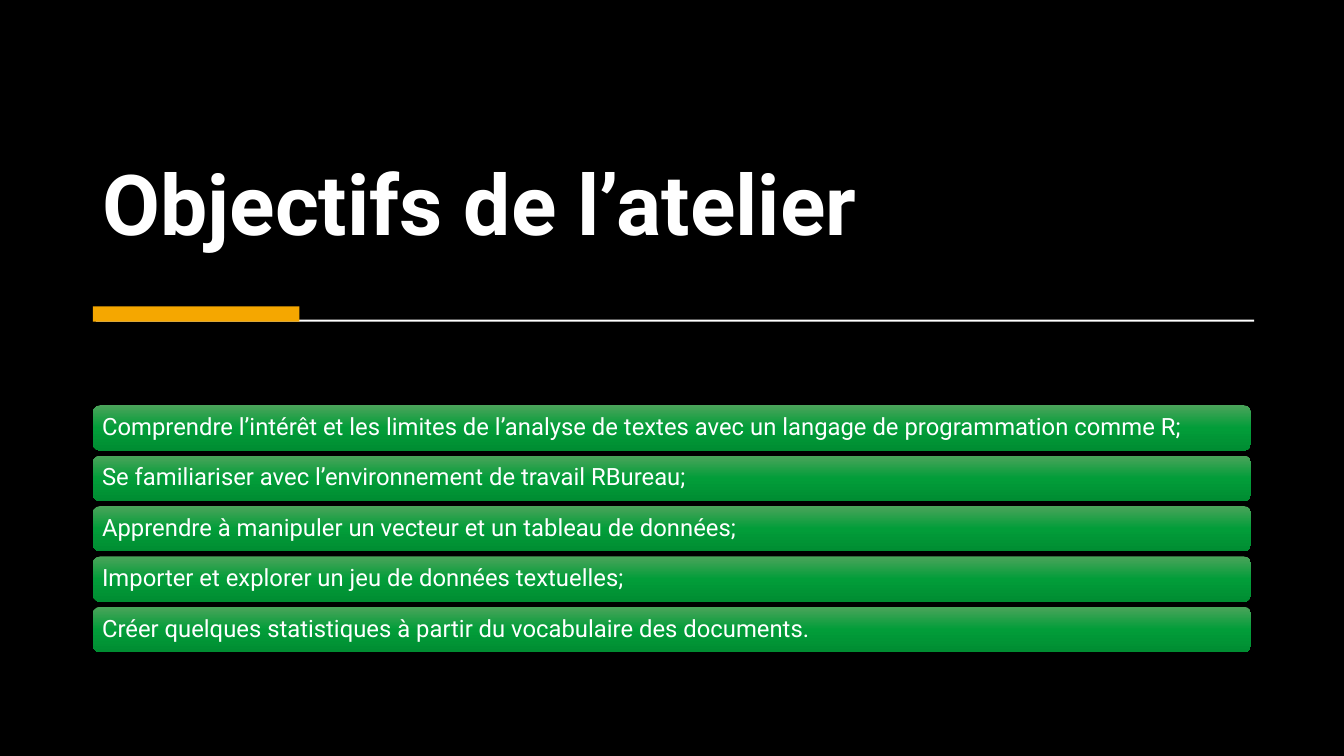
"""Build the workshop goals slide: title, accent rule and five green bars."""
from copy import deepcopy

from pptx import Presentation, util as u
from pptx.dml.color import RGBColor
from pptx.enum import shapes, text
from pptx.oxml.ns import qn

HUES = {"back": "000000", "ink": "FFFFFF", "gold": "F5A700",
        "top": "4BA45B", "mid": "029D39", "low": "008D32"}
GOALS = [
    "Comprendre l’intérêt et les limites de l’analyse de textes avec un langage de programmation comme R;",
    "Se familiariser avec l’environnement de travail RBureau;",
    "Apprendre à manipuler un vecteur et un tableau de données;",
    "Importer et explorer un jeu de données textuelles;",
    "Créer quelques statistiques à partir du vocabulaire des documents.",
]
LEFT, WIDE = 0.92, 11.49
FIRST, STEP, TALL = 4.02, 0.5, 0.45
SIDES = ("margin_left", "margin_right", "margin_top", "margin_bottom")

deck = Presentation()
deck.slide_width, deck.slide_height = u.Inches(13.33), u.Inches(7.5)
slide = deck.slides.add_slide(deck.slide_layouts[6])
slide.background.fill.solid()
slide.background.fill.fore_color.rgb = RGBColor.from_string(HUES["back"])


def block(kind, *place):
    shape = slide.shapes.add_shape(kind, *map(u.Inches, place))
    shape.shadow.inherit = False
    shape.line.fill.background()
    return shape


def write(shape, words, size, bold, frame):
    for key, value in frame.items():
        setattr(shape.text_frame, key, value)
    para = shape.text_frame.paragraphs[0]
    para.text = words
    para.line_spacing = 0.9
    para.alignment = text.PP_ALIGN.LEFT
    looks = {"name": "Roboto", "size": u.Pt(size), "bold": bold}
    for key, value in looks.items():
        setattr(para.runs[0].font, key, value)
    para.runs[0].font.color.rgb = RGBColor.from_string(HUES["ink"])


title = slide.shapes.add_textbox(*map(u.Inches, (LEFT, 0.47, WIDE, 2.1)))
write(title, "Objectifs de l’atelier", 60, True,
      {"word_wrap": True, "vertical_anchor": text.MSO_ANCHOR.BOTTOM})

for hue, place in (("ink", (0.95, 3.17, WIDE, 0.02)),
                   ("gold", (LEFT, 3.04, 2.05, 0.15))):
    rule = block(shapes.MSO_SHAPE.RECTANGLE, *place)
    rule.fill.solid()
    rule.fill.fore_color.rgb = RGBColor.from_string(HUES[hue])

inset = {"word_wrap": True, "vertical_anchor": text.MSO_ANCHOR.MIDDLE,
         **dict.fromkeys(SIDES, u.Inches(0.07))}
for row, goal in enumerate(GOALS):
    bar = block(shapes.MSO_SHAPE.ROUNDED_RECTANGLE,
                LEFT, FIRST + row * STEP, WIDE, TALL)
    bar.fill.gradient()
    bar.fill.gradient_angle = 270
    stops = next(bar.element.iter(qn("a:gsLst")))
    stops.insert(1, deepcopy(stops[0]))
    for stop, hue, spot in zip(bar.fill.gradient_stops,
                               ("top", "mid", "low"), (0, 0.5, 1)):
        stop.color.rgb = RGBColor.from_string(HUES[hue])
        stop.position = spot
    write(bar, goal, 17, False, inset)

deck.save("out.pptx")
